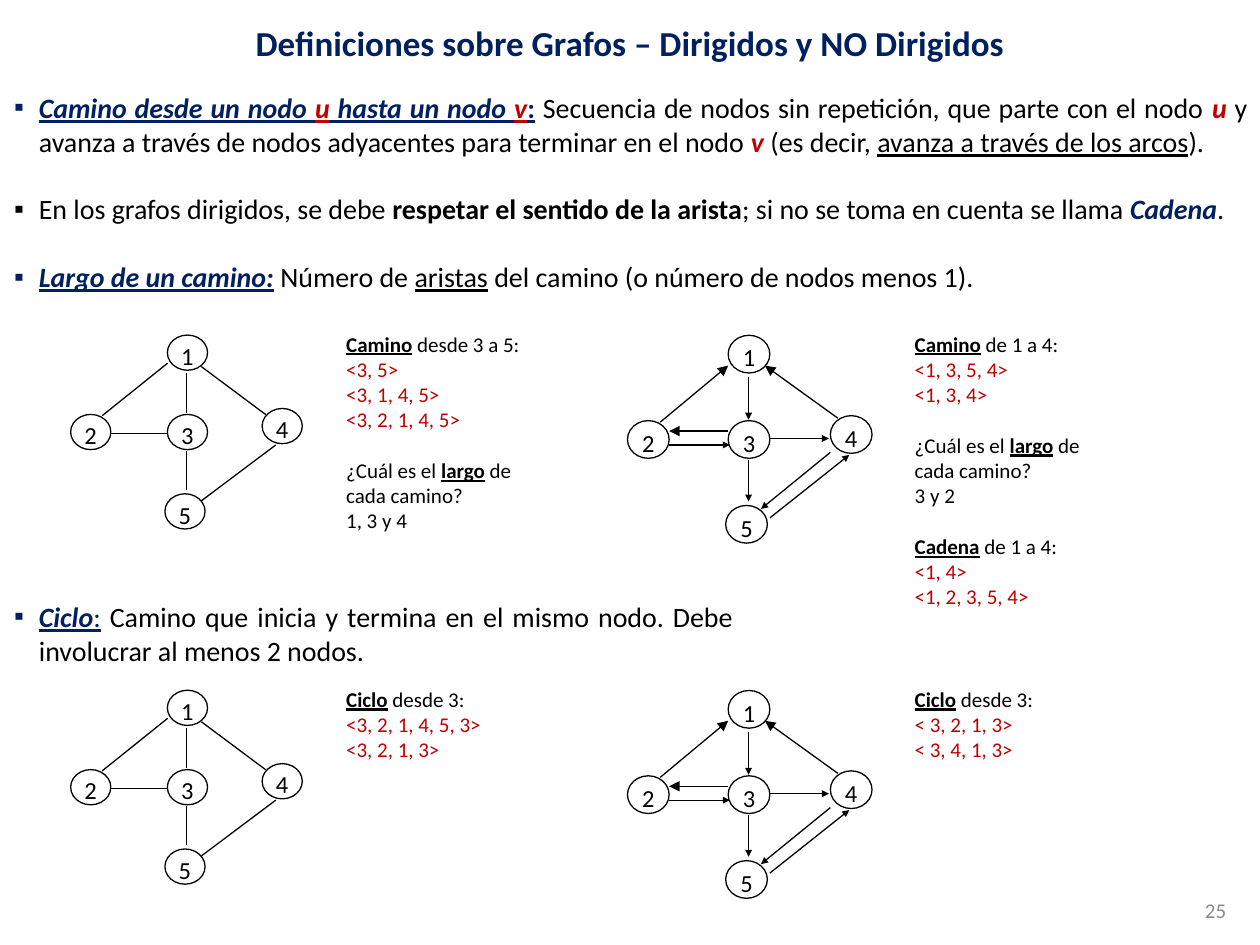
import dataclasses

import lxml.etree
import pptx
import pptx.dml.color
import pptx.enum.shapes
import pptx.enum.text
import pptx.oxml.ns
import pptx.util

Cm = pptx.util.Cm
ALIGN = pptx.enum.text.PP_ALIGN
ANCHOR = pptx.enum.text.MSO_ANCHOR


def run_format(color, bold=False, italic=False, underline=False):
    return {"color": color, "bold": bold, "italic": italic, "underline": underline}


@dataclasses.dataclass(frozen=True)
class Theme:
    font: str = "Calibri"
    navy: str = "002060"
    red: str = "C00000"
    black: str = "000000"
    white: str = "FFFFFF"
    gray: str = "8C8C8C"
    title_size: int = 20
    body_size: int = 16
    node_size: int = 14
    note_size: int = 12
    line_height: float = 1.22
    line_width: float = 0.75

    def formats(self):
        return {
            "plain": run_format(self.black),
            "strong": run_format(self.black, bold=True),
            "under": run_format(self.black, underline=True),
            "head": run_format(self.black, bold=True, underline=True),
            "route": run_format(self.red),
            "vertex": run_format(self.red, bold=True, italic=True),
            "term": run_format(self.navy, bold=True, italic=True),
            "term_under": run_format(self.navy, bold=True, italic=True, underline=True),
            "vertex_under": run_format(self.red, bold=True, italic=True, underline=True),
            "colon_bold": run_format(self.navy, bold=True, underline=True),
            "colon": run_format(self.navy, underline=True),
            "title": run_format(self.navy, bold=True),
            "number": run_format(self.gray),
        }


@dataclasses.dataclass(frozen=True)
class Graph:
    """Node centres by label, and edges as (x1, y1, x2, y2, arrow size), in cm."""
    node_width: float
    node_height: float
    nodes: dict
    edges: list


UNDIRECTED = Graph(
    0.81, 0.71,
    {"1": (3.78, 7.11), "3": (3.78, 8.71), "5": (3.73, 10.31),
     "4": (5.69, 8.59), "2": (1.83, 8.71)},
    [(3.76, 7.52, 3.76, 8.33, None), (3.76, 9.09, 3.76, 9.88, None),
     (2.24, 8.74, 3.38, 8.74, None), (3.38, 7.32, 2.06, 8.38, None),
     (5.56, 8.97, 4.04, 10.11, None), (4.06, 7.39, 5.36, 8.36, None)])

DIRECTED = Graph(
    0.84, 0.76,
    {"1": (15.1, 7.14), "3": (15.1, 8.86), "5": (15.05, 10.57),
     "4": (17.16, 8.76), "2": (13.07, 8.86)},
    [(16.89, 8.43, 15.42, 7.37, "med"), (15.09, 7.59, 15.09, 8.46, "sm"),
     (15.09, 9.27, 15.09, 10.11, "sm"), (15.52, 8.84, 16.71, 8.84, "sm"),
     (13.49, 8.97, 14.71, 8.97, "sm"), (15.52, 10.44, 17.12, 9.17, "sm"),
     (16.74, 9.12, 15.34, 10.26, "sm"), (13.31, 8.51, 14.68, 7.37, "med"),
     (14.68, 8.69, 13.49, 8.69, "med")])

# Text is a list of blocks set apart by one line; a block is a list of
# paragraphs; a paragraph is a list of (words, format name).
DEFINITIONS = [
    [[("Camino desde un nodo ", "term_under"), ("u", "vertex_under"),
      (" hasta un nodo ", "term_under"), ("v", "vertex_under"), (":", "colon_bold"),
      (" Secuencia de nodos sin repetición, que parte con el nodo ", "plain"),
      ("u", "vertex"),
      (" y avanza a través de nodos adyacentes para terminar en el nodo ", "plain"),
      ("v", "vertex"), (" (es decir, ", "plain"),
      ("avanza a través de los arcos", "under"), (").", "plain")]],
    [[("En los grafos dirigidos, se debe ", "plain"),
      ("respetar el sentido de la arista", "strong"),
      ("; si no se toma en cuenta se llama ", "plain"),
      ("Cadena", "term"), (".", "plain")]],
    [[("Largo de un camino:", "term_under"), (" Número de ", "plain"),
      ("aristas", "under"), (" del camino (o número de nodos menos 1).", "plain")]],
]
CYCLE = [[[("Ciclo", "term_under"), (":", "colon"),
           (" Camino que inicia y termina en el mismo nodo. "
            "Debe involucrar al menos 2 nodos.", "plain")]]]


def routes(term, rest, *listed):
    return [[(term, "head"), (rest, "plain")]] + [[(route, "route")] for route in listed]


def length_question(answer):
    return [[("¿Cuál es el ", "plain"), ("largo", "head"), (" de cada camino?", "plain")],
            [(answer, "plain")]]


PATHS_UNDIRECTED = [
    routes("Camino", " desde 3 a 5:", "<3, 5>", "<3, 1, 4, 5>", "<3, 2, 1, 4, 5>"),
    length_question("1, 3 y 4")]
PATHS_DIRECTED = [
    routes("Camino", " de 1 a 4:", "<1, 3, 5, 4>", "<1, 3, 4>"),
    length_question("3 y 2"),
    routes("Cadena", " de 1 a 4:", "<1, 4>", "<1, 2, 3, 5, 4>")]
CYCLES_UNDIRECTED = [routes("Ciclo", " desde 3:", "<3, 2, 1, 4, 5, 3>", "<3, 2, 1, 3>")]
CYCLES_DIRECTED = [routes("Ciclo", " desde 3:", "< 3, 2, 1, 3>", "< 3, 4, 1, 3>")]


class SlideBuilder:
    def __init__(self, slide, theme):
        self.slide = slide
        self.theme = theme
        self.formats = theme.formats()

    def rgb(self, value):
        return pptx.dml.color.RGBColor.from_string(value)

    def fill_text(self, frame, blocks, size, align=ALIGN.LEFT, bullet=None):
        frame_format = {"word_wrap": True, "auto_size": pptx.enum.text.MSO_AUTO_SIZE.NONE}
        for name, value in frame_format.items():
            setattr(frame, name, value)
        paragraph = None
        for block in blocks:
            for position, runs in enumerate(block):
                first = paragraph is None
                paragraph = frame.paragraphs[0] if first else frame.add_paragraph()
                if bullet:
                    self.add_bullet(paragraph, bullet)
                starts_block = position == 0 and not first
                gap = size * self.theme.line_height if starts_block else 0
                paragraph.alignment = align
                paragraph.space_before = pptx.util.Pt(gap)
                for words, format_name in runs:
                    self.add_run(paragraph, words, format_name, size)

    def add_bullet(self, paragraph, mark):
        properties = paragraph._p.get_or_add_pPr()
        properties.set("marL", str(Cm(0.5)))
        properties.set("indent", str(-Cm(0.5)))
        lxml.etree.SubElement(properties, pptx.oxml.ns.qn("a:buChar"), char=mark)

    def add_run(self, paragraph, words, format_name, size):
        run = paragraph.add_run()
        run.text = words
        values = dict(self.formats[format_name], name=self.theme.font, size=pptx.util.Pt(size))
        run.font.color.rgb = self.rgb(values.pop("color"))
        for name, value in values.items():
            setattr(run.font, name, value)

    def placeholder(self, index, box, blocks, size, align, bullet=None):
        holder = self.slide.placeholders[index]
        for name, value in zip(("left", "top", "width", "height"), box):
            setattr(holder, name, Cm(value))
        self.fill_text(holder.text_frame, blocks, size, align, bullet)

    def note(self, box, blocks, align=ALIGN.LEFT, anchor=ANCHOR.TOP):
        frame = self.slide.shapes.add_textbox(*map(Cm, box)).text_frame
        frame.vertical_anchor = anchor
        self.fill_text(frame, blocks, self.theme.note_size, align)

    def graph(self, graph, drop):
        """Draw the graph as one group, moved down by drop cm."""
        group = self.slide.shapes.add_group_shape()
        for x1, y1, x2, y2, arrow in graph.edges:
            self.edge(group, (x1, y1 + drop, x2, y2 + drop), arrow)
        for label, (x, y) in graph.nodes.items():
            box = (x - graph.node_width / 2, y + drop - graph.node_height / 2,
                   graph.node_width, graph.node_height)
            self.node(group, box, label)

    def edge(self, group, ends, arrow):
        edge = group.shapes.add_connector(
            pptx.enum.shapes.MSO_CONNECTOR.STRAIGHT, *map(Cm, ends))
        self.outline(edge)
        properties = edge.element.spPr
        if arrow:
            lxml.etree.SubElement(properties.find(pptx.oxml.ns.qn("a:ln")),
                                  pptx.oxml.ns.qn("a:tailEnd"),
                                  type="triangle", w=arrow, len=arrow)
        lxml.etree.SubElement(properties, pptx.oxml.ns.qn("a:effectLst"))

    def node(self, group, box, label):
        node = group.shapes.add_shape(pptx.enum.shapes.MSO_SHAPE.OVAL, *map(Cm, box))
        node.shadow.inherit = False
        node.fill.solid()
        node.fill.fore_color.rgb = self.rgb(self.theme.white)
        self.outline(node)
        frame = node.text_frame
        self.fill_text(frame, [[[(label, "plain")]]], self.theme.node_size, ALIGN.CENTER)
        frame_format = {"margin_left": 0, "margin_right": 0, "margin_top": Cm(0.12),
                        "margin_bottom": 0, "word_wrap": False,
                        "vertical_anchor": ANCHOR.MIDDLE}
        for name, value in frame_format.items():
            setattr(frame, name, value)

    def outline(self, shape):
        shape.line.color.rgb = self.rgb(self.theme.black)
        shape.line.width = pptx.util.Pt(self.theme.line_width)


def main():
    deck = pptx.Presentation()
    deck.slide_width, deck.slide_height = Cm(25.4), Cm(19.05)
    theme = Theme()
    two_content = deck.slide_layouts[3]
    builder = SlideBuilder(deck.slides.add_slide(two_content), theme)

    title = [[[("Definiciones sobre Grafos – Dirigidos y NO Dirigidos", "title")]]]
    builder.placeholder(0, (0, 0, 25.4, 1.7), title, theme.title_size, ALIGN.CENTER)
    builder.placeholder(1, (0.03, 1.7, 25.37, 4.37), DEFINITIONS,
                        theme.body_size, ALIGN.JUSTIFY, "▪")
    builder.placeholder(2, (0.03, 11.96, 15.01, 1.63), CYCLE,
                        theme.body_size, ALIGN.JUSTIFY, "▪")

    row_drop, note_top = 7.16, 6.55
    rows = [(PATHS_UNDIRECTED, 5.41, PATHS_DIRECTED, 6.07),
            (CYCLES_UNDIRECTED, 2.36, CYCLES_DIRECTED, 1.96)]
    for row, (left_note, left_height, right_note, right_height) in enumerate(rows):
        drop = row * row_drop
        builder.graph(UNDIRECTED, drop)
        builder.graph(DIRECTED, drop)
        builder.note((6.73, note_top + drop, 4.65, left_height), left_note)
        builder.note((18.19, note_top + drop, 4.65, right_height), right_note)
    builder.note((19.05, 17.83, 5.92, 1.02), [[[("25", "number")]]],
                 ALIGN.RIGHT, ANCHOR.MIDDLE)
    deck.save("out.pptx")


if __name__ == "__main__":
    main()
